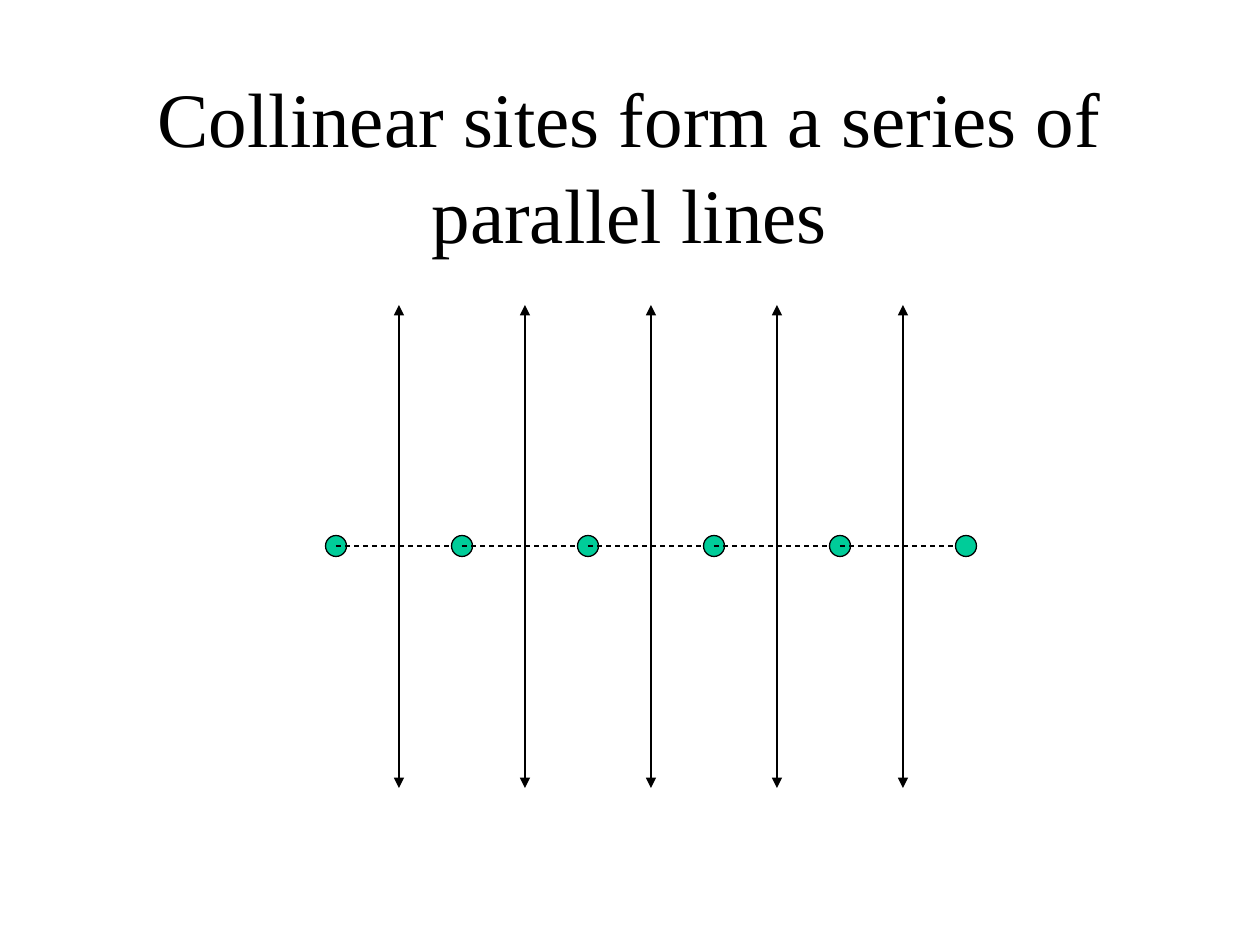
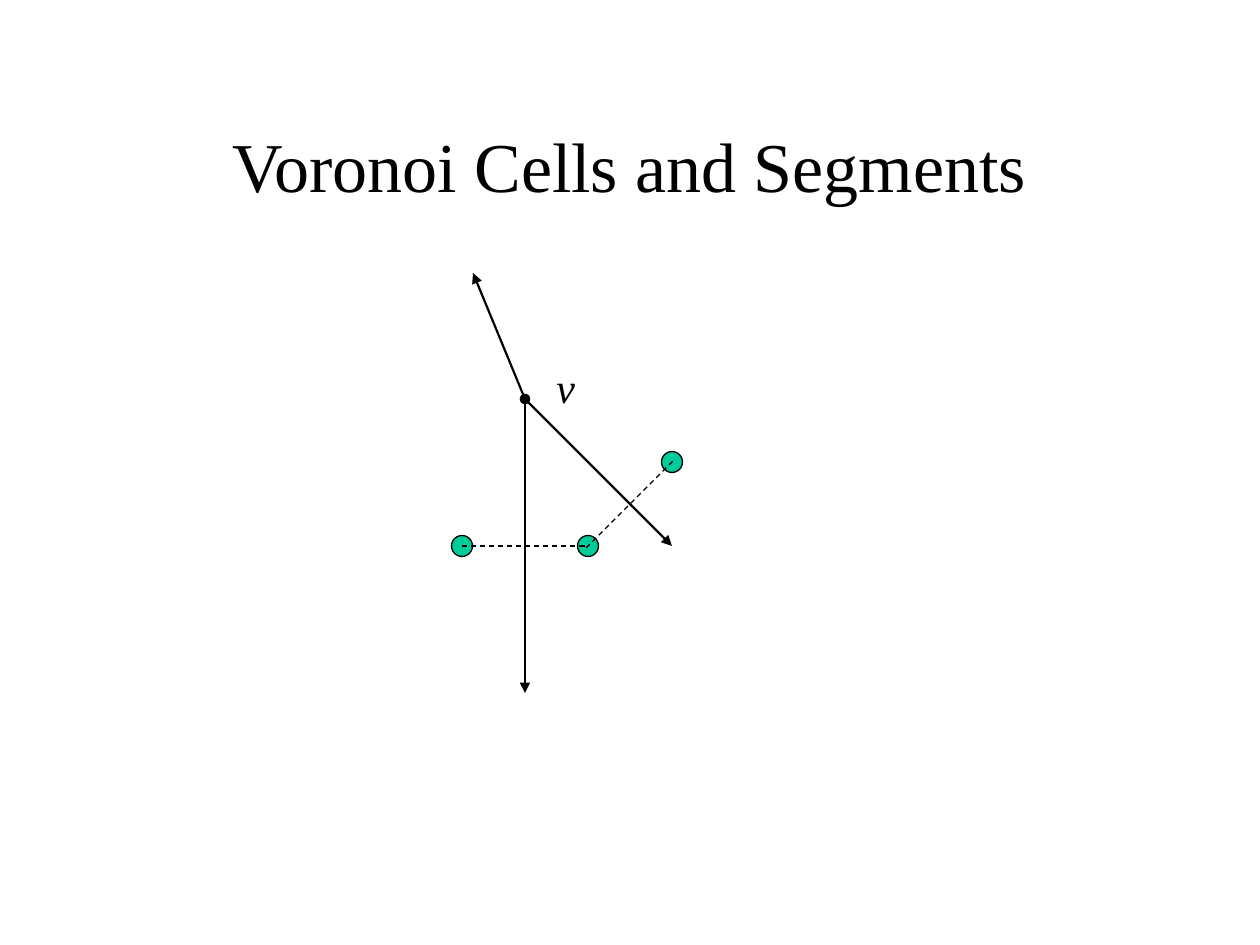
from dataclasses import dataclass

from lxml.etree import SubElement
from pptx import Presentation
from pptx.dml.color import RGBColor
from pptx.enum.dml import MSO_LINE
from pptx.enum.shapes import MSO_CONNECTOR, MSO_SHAPE
from pptx.enum.text import MSO_ANCHOR, MSO_AUTO_SIZE, PP_ALIGN
from pptx.oxml.ns import qn
from pptx.util import Emu, Pt

PX_PER_INCH = 126
TITLE_ONLY_LAYOUT = 5


@dataclass(frozen=True)
class Theme:
    font: str = "Times New Roman"
    ink: RGBColor = RGBColor(0x00, 0x00, 0x00)
    site: RGBColor = RGBColor(0x00, 0xCC, 0x99)
    background: RGBColor = RGBColor(0xFF, 0xFF, 0xFF)
    long_title_size: int = 44
    title_size: int = 40
    label_size: int = 24
    line_spacing: float = 1.04
    thin: float = 0.75
    thick: float = 1.25
    site_diameter: int = 21


THEME = Theme()


def px(length):
    return Emu(round(length * 914400 / PX_PER_INCH))


def format_text(text_frame, size, alignment, italic=False):
    paragraph = text_frame.paragraphs[0]
    paragraph.alignment = alignment
    paragraph.line_spacing = THEME.line_spacing
    for run in paragraph.runs:
        run.font.name = THEME.font
        run.font.size = Pt(size)
        run.font.italic = italic
        run.font.color.rgb = THEME.ink


def add_titled_slide(presentation, text, size):
    slide = presentation.slides.add_slide(
        presentation.slide_layouts[TITLE_ONLY_LAYOUT])
    slide.background.fill.solid()
    slide.background.fill.fore_color.rgb = THEME.background
    title = slide.shapes.title
    title.left, title.top, title.width, title.height = map(px, (94, 84, 1071, 158))
    title.text_frame.text = text
    title.text_frame.word_wrap = True
    title.text_frame.auto_size = MSO_AUTO_SIZE.NONE
    title.text_frame.vertical_anchor = MSO_ANCHOR.MIDDLE
    format_text(title.text_frame, size, PP_ALIGN.CENTER)
    return slide


def add_site(slide, center):
    diameter = px(THEME.site_diameter)
    x, y = map(px, center)
    site = slide.shapes.add_shape(
        MSO_SHAPE.OVAL, x - diameter // 2, y - diameter // 2, diameter, diameter)
    site.shadow.inherit = False
    site.fill.solid()
    site.fill.fore_color.rgb = THEME.site
    site.line.color.rgb = THEME.ink
    site.line.width = Pt(THEME.thin)


def add_line(slide, start, end, width):
    connector = slide.shapes.add_connector(
        MSO_CONNECTOR.STRAIGHT, *map(px, (*start, *end)))
    connector.line.color.rgb = THEME.ink
    connector.line.width = Pt(width)
    SubElement(connector._element.spPr, qn("a:effectLst"))
    return connector


def add_site_link(slide, start, end):
    link = add_line(slide, start, end, THEME.thin)
    link.line.dash_style = MSO_LINE.DASH


def add_arrow(slide, start, end, head=None):
    """Draw an arrow to end; head names the marker put at start."""
    arrow = add_line(slide, start, end, THEME.thick)
    outline = arrow.line._get_or_add_ln()
    if head:
        SubElement(outline, qn("a:headEnd"), type=head)
    SubElement(outline, qn("a:tailEnd"), type="triangle")


def add_label(slide, text, left, top, width, height):
    label = slide.shapes.add_textbox(*map(px, (left, top, width, height)))
    label.text_frame.text = text
    label.text_frame.word_wrap = False
    label.text_frame.auto_size = MSO_AUTO_SIZE.SHAPE_TO_FIT_TEXT
    format_text(label.text_frame, THEME.label_size, PP_ALIGN.LEFT, italic=True)


def build_collinear_slide(presentation):
    slide = add_titled_slide(
        presentation, "Collinear sites form a series of parallel lines",
        THEME.long_title_size)
    site_count, first_x, gap, site_y = 6, 336, 126, 546
    for index in range(site_count):
        x = first_x + index * gap
        add_site(slide, (x, site_y))
        if index < site_count - 1:
            bisector_x = x + gap // 2
            add_site_link(slide, (x, site_y), (x + gap, site_y))
            add_arrow(slide, (bisector_x, 305), (bisector_x, 788), head="triangle")


def build_voronoi_slide(presentation):
    slide = add_titled_slide(
        presentation, "Voronoi Cells and Segments", THEME.title_size)
    left_site, middle_site, right_site = (462, 546), (588, 546), (672, 462)
    vertex = (525, 399)
    for site in (left_site, middle_site, right_site):
        add_site(slide, site)
    add_site_link(slide, left_site, middle_site)
    add_site_link(slide, (586, 548), (674, 460))
    add_arrow(slide, vertex, (525, 693))
    for ray_end in ((473, 273), (672, 546)):
        add_arrow(slide, vertex, ray_end, head="oval")
    add_label(slide, "v", 544, 353, 44, 63)


def main():
    presentation = Presentation()
    presentation.slide_width = px(1260)
    presentation.slide_height = px(945)
    build_collinear_slide(presentation)
    build_voronoi_slide(presentation)
    presentation.save("out.pptx")


if __name__ == "__main__":
    main()
